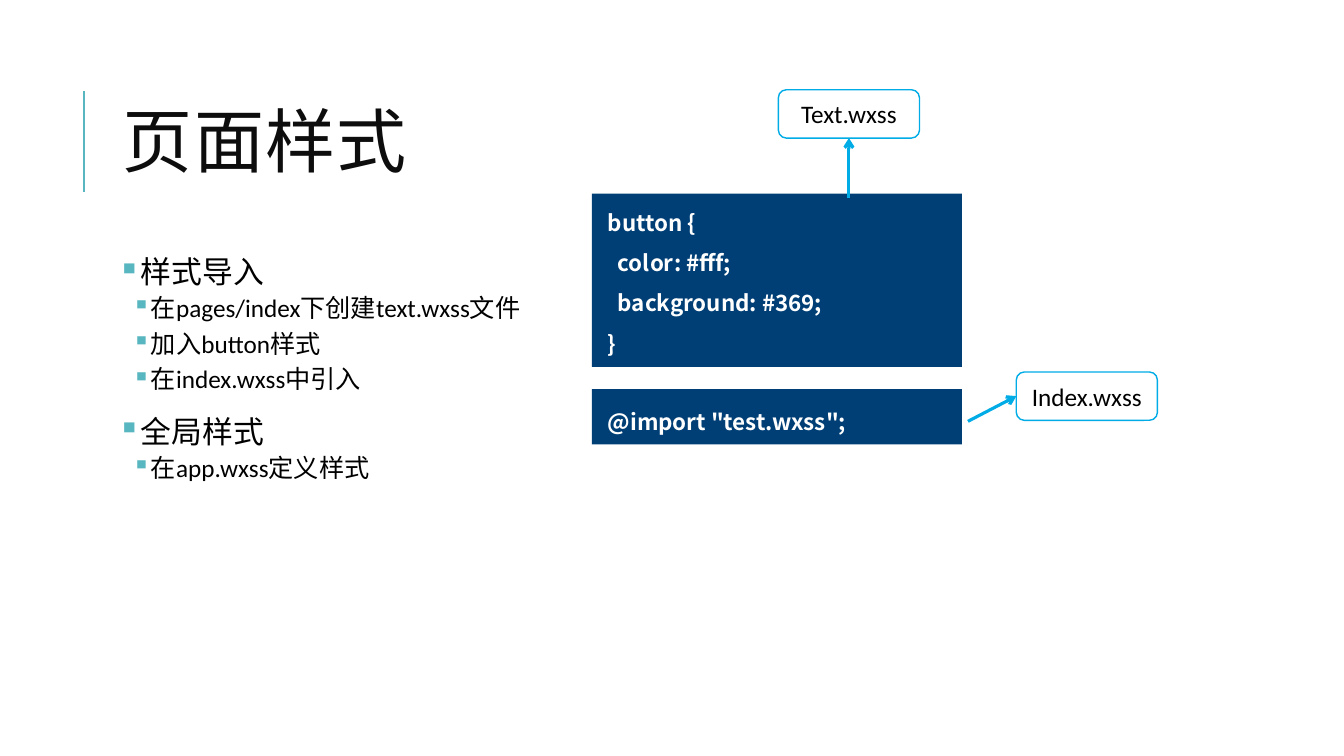
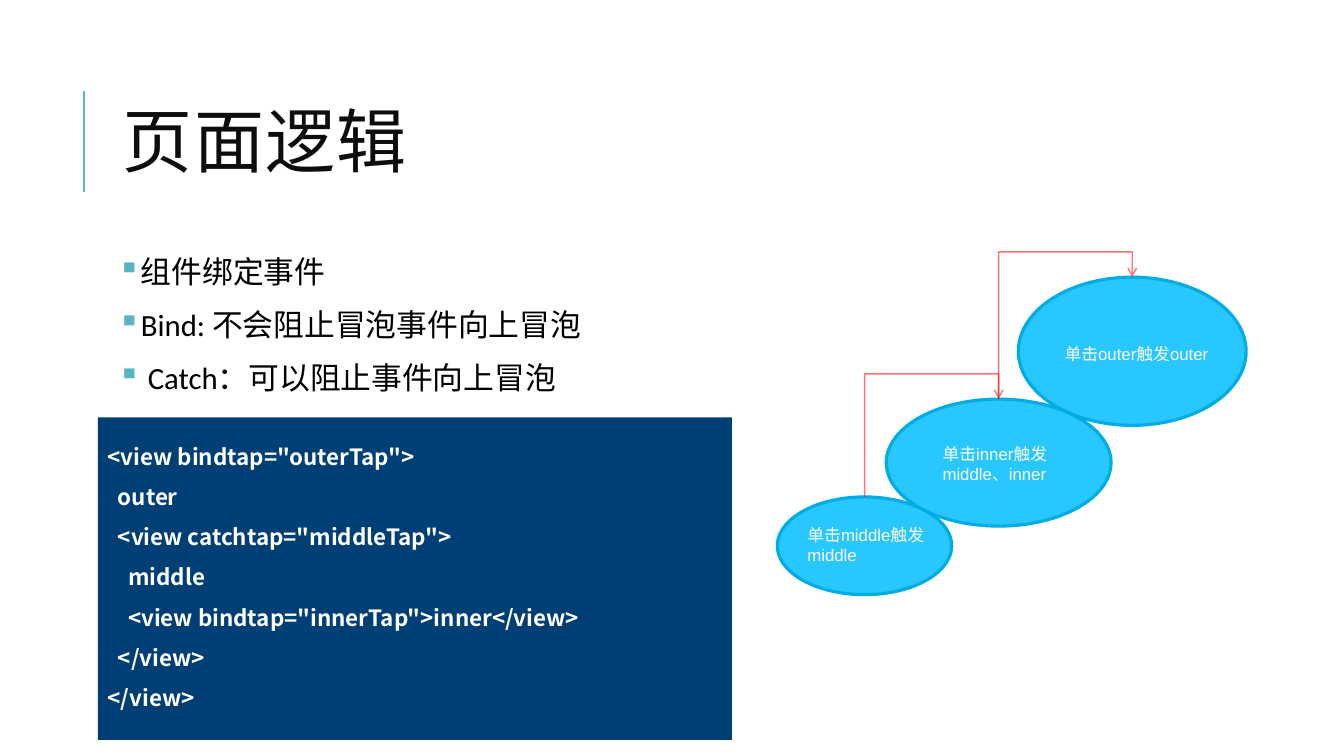
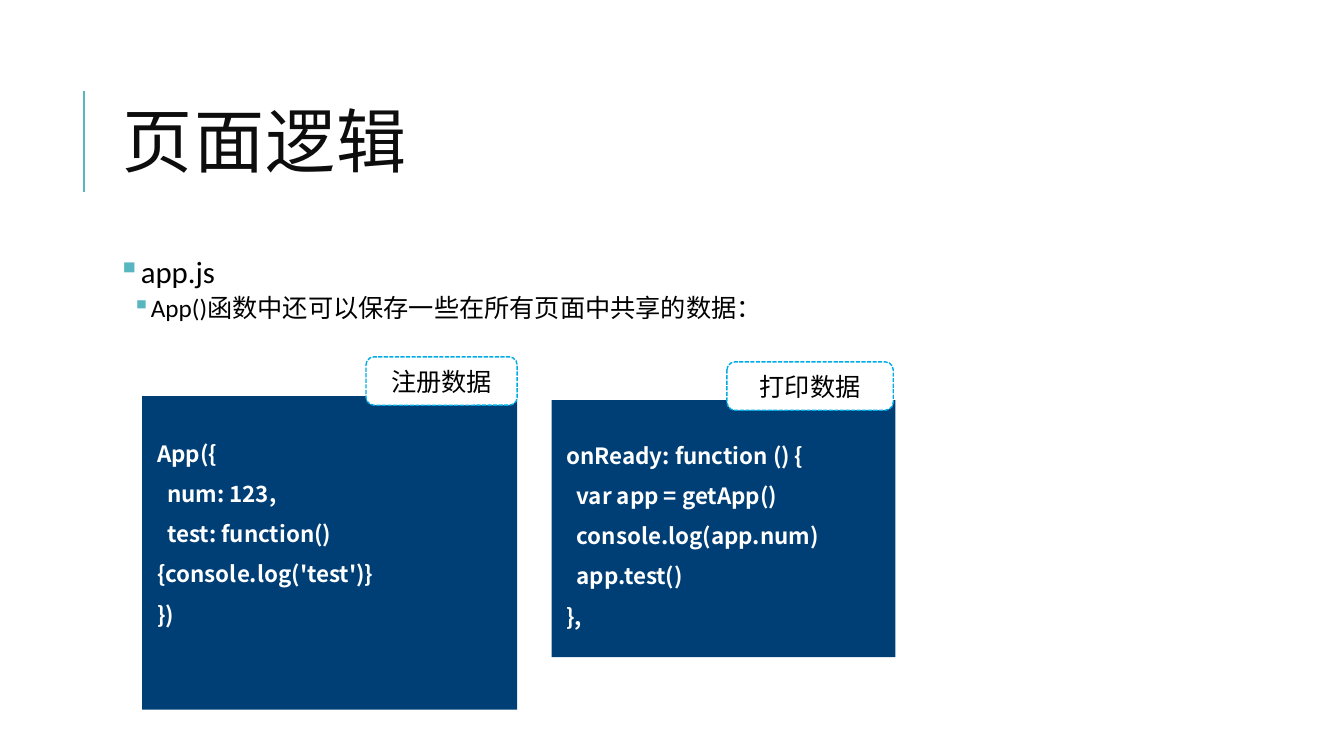
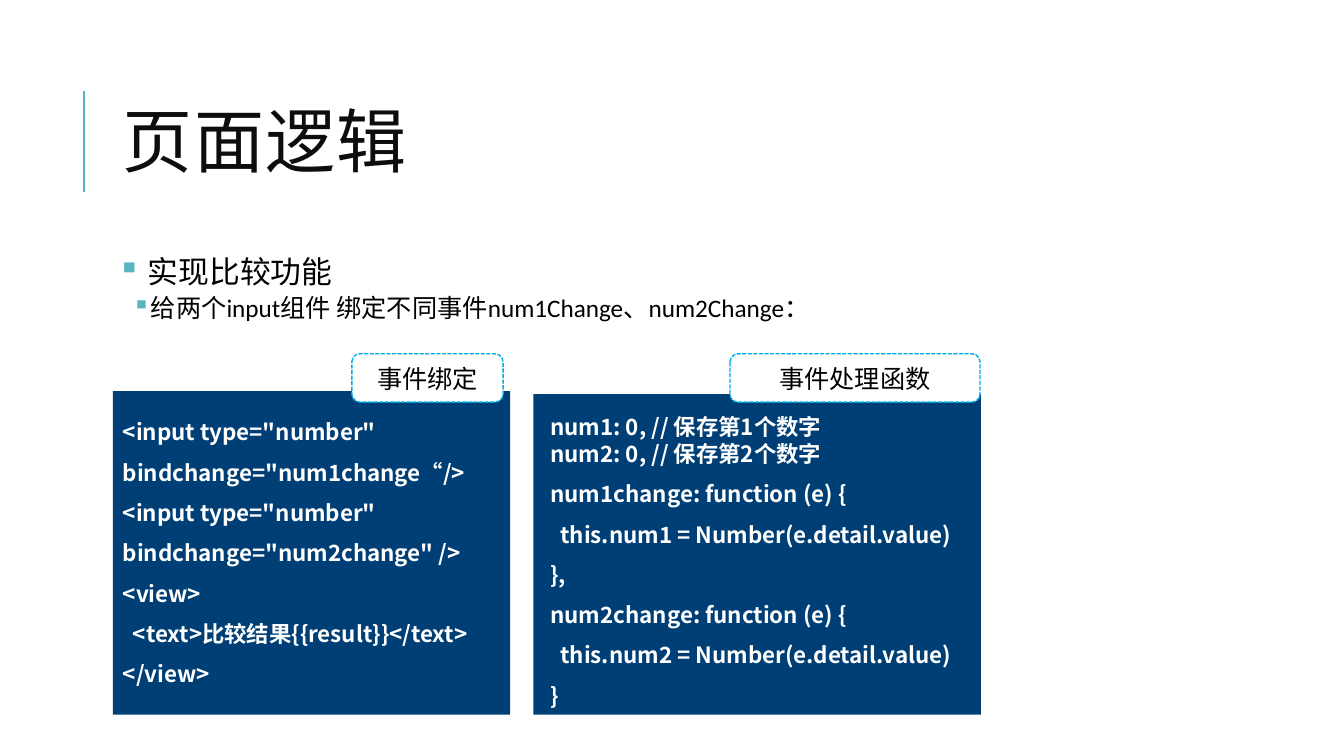
from dataclasses import dataclass
from typing import NamedTuple

from lxml import etree
from pptx import Presentation
from pptx import util as u
from pptx.dml import color
from pptx.enum import dml, shapes, text
from pptx.oxml import ns

Inches = u.Inches
Shape = shapes.MSO_SHAPE
Anchor = text.MSO_ANCHOR
Align = text.PP_ALIGN


@dataclass(frozen=True)
class Theme:
    teal: str = "58B6C0"
    navy: str = "003F75"
    blue: str = "00ACE6"
    sky: str = "29C7FF"
    red: str = "FF0000"
    ink: str = "0D0D0D"
    black: str = "000000"
    white: str = "FFFFFF"
    font: str = "Calibri"
    mono: str = "Noto Sans CJK SC"
    note: str = "Arial"
    head: int = 50
    body: int = 22
    sub: int = 18
    code: int = 16
    small: int = 12


T = Theme()


class Box(NamedTuple):
    x: float
    y: float
    w: float
    h: float

    def emu(self) -> list:
        return [Inches(v) for v in self]


class Level(NamedTuple):
    size: int
    left: float
    hang: float
    above: int
    below: int


LEVELS = (Level(T.body, 0.1, 0.1, 12, 2), Level(T.sub, 0.29, 0.15, 2, 4))


class Item(NamedTuple):
    text: str
    level: int = 0


class Code(NamedTuple):
    panel: Box
    area: Box
    lines: list
    tight: int = 0


class Tag(NamedTuple):
    text: str
    box: Box
    dash: bool = True


class Event(NamedTuple):
    text: str
    oval: Box
    area: Box


def rgb(code: str) -> color.RGBColor:
    return color.RGBColor.from_string(code)


def node(root, kind: str, /, **attrs: str):
    item = etree.SubElement(root, ns.qn(kind))
    for key, value in attrs.items():
        item.set(key, value)
    return item


def write(para, words: str, *, size: int, font: str = T.font, tint: str = T.black,
          bold: bool = False, lead: float = 1.0, above: int = 0, below: int = 0,
          align=Align.LEFT, track: int = 0) -> None:
    para.alignment = align
    para.line_spacing = lead
    para.space_before = u.Pt(above)
    para.space_after = u.Pt(below)
    run = para.add_run()
    run.text = words
    face = run.font
    face.size, face.bold, face.name = u.Pt(size), bold, font
    face.color.rgb = rgb(tint)
    props = run._r.get_or_add_rPr()
    node(props, "a:ea", typeface=font)
    if track:
        props.set("spc", str(track * 100))


def frame(slide, box: Box, inset: float = 0.0, anchor=Anchor.TOP):
    body = slide.shapes.add_textbox(*box.emu()).text_frame
    body.word_wrap = True
    body.vertical_anchor = anchor
    if inset:
        body.margin_left = body.margin_right = Inches(inset)
        body.margin_top = body.margin_bottom = Inches(inset)
    return body


def paras(body, count: int) -> list:
    return [body.paragraphs[0]] + [body.add_paragraph() for _ in range(count - 1)]


def shape(slide, kind, box: Box, fill: str, edge: str = "", width: float = 1):
    item = slide.shapes.add_shape(kind, *box.emu())
    item.shadow.inherit = False
    item.fill.solid()
    item.fill.fore_color.rgb = rgb(fill)
    if edge:
        item.line.color.rgb = rgb(edge)
        item.line.width = u.Pt(width)
    else:
        item.line.fill.background()
    return item


def link(slide, start: tuple, end: tuple, tint: str, width: float,
         kind=shapes.MSO_CONNECTOR.STRAIGHT, arrow: bool = True):
    ends = [Inches(v) for v in (*start, *end)]
    item = slide.shapes.add_connector(kind, *ends)
    item.line.color.rgb = rgb(tint)
    item.line.width = u.Pt(width)
    if arrow:
        node(item.line._get_or_add_ln(), "a:tailEnd", type="arrow")
    node(item._element.spPr, "a:effectLst")
    return item


def hook(slide, start: tuple, end: tuple, rise: float = 0.25) -> None:
    item = link(slide, start, end, T.red, 1, shapes.MSO_CONNECTOR.ELBOW)
    wide, tall = start[1] - end[1], end[0] - start[0]
    midx, midy = (start[0] + end[0]) / 2, (start[1] + end[1]) / 2
    box = Box(midx - wide / 2, midy - tall / 2, wide, tall)
    item.left, item.top, item.width, item.height = box.emu()
    props = item._element.spPr
    form = props.find(ns.qn("a:xfrm"))
    for key, value in (("rot", "5400000"), ("flipH", "1"), ("flipV", "1")):
        form.set(key, value)
    geom = props.find(ns.qn("a:prstGeom"))
    guides = geom.find(ns.qn("a:avLst"))
    if guides is None:
        guides = node(geom, "a:avLst")
    ratio = round((1 + rise / wide) * 100000)
    node(guides, "a:gd", name="adj1", fmla=f"val {ratio}")
    tone = next(props.iter(ns.qn("a:srgbClr")))
    node(tone, "a:alpha", val="54000")


def start(deck, title: str):
    slide = deck.slides.add_slide(deck.slide_layouts[6])
    link(slide, (0.83, 1.9), (0.83, 0.9), T.teal, 1.5, arrow=False)
    body = frame(slide, Box(1.12, 0.64, 10.63, 1.64), anchor=Anchor.MIDDLE)
    write(body.paragraphs[0], title, size=T.head, tint=T.ink, lead=0.8, track=1)
    return slide


def bullets(slide, box: Box, items: list) -> None:
    body = frame(slide, box, inset=0.05)
    for spot, (para, item) in enumerate(zip(paras(body, len(items)), items)):
        level = LEVELS[item.level]
        para.level = item.level
        props = para._p.get_or_add_pPr()
        props.set("marL", str(Inches(level.left)))
        props.set("indent", str(-Inches(level.hang)))
        node(node(props, "a:buClr"), "a:srgbClr", val=T.teal)
        node(props, "a:buChar", char="▪")
        write(para, item.text, size=level.size, lead=0.9,
              above=level.above if spot else 0, below=level.below)


def listing(slide, code: Code) -> None:
    shape(slide, Shape.RECTANGLE, code.panel, T.navy)
    body = frame(slide, code.area)
    for spot, para in enumerate(paras(body, len(code.lines))):
        write(para, code.lines[spot], size=T.code, font=T.mono, tint=T.white,
              bold=True, lead=1.0 if spot < code.tight else 1.5)


def label(slide, tag: Tag):
    item = shape(slide, Shape.ROUNDED_RECTANGLE, tag.box, T.white, T.blue)
    if tag.dash:
        item.line.dash_style = dml.MSO_LINE.SQUARE_DOT
    item.text_frame.vertical_anchor = Anchor.MIDDLE
    write(item.text_frame.paragraphs[0], tag.text, size=T.sub, align=Align.CENTER)
    return item


def style(deck) -> None:
    slide = start(deck, "页面样式")
    bullets(slide, Box(1.12, 2.5, 5.62, 2.42), [
        Item("样式导入"),
        Item("在pages/index下创建text.wxss文件", 1),
        Item("加入button样式", 1),
        Item("在index.wxss中引入", 1),
        Item("全局样式"),
        Item("在app.wxss定义样式", 1),
    ])
    listing(slide, Code(Box(5.87, 1.92, 3.67, 1.72), Box(5.93, 1.89, 3.6, 1.67), [
        "button {",
        "  color: #fff;",
        "  background: #369;",
        "}",
    ]))
    listing(slide, Code(Box(5.87, 3.86, 3.67, 0.55), Box(5.93, 3.87, 3.6, 0.5),
                        ['@import "test.wxss";']))
    for tag, tail, side in (
        (Tag("Text.wxss", Box(7.72, 0.89, 1.4, 0.48), False), (8.42, 1.96), 2),
        (Tag("Index.wxss", Box(10.08, 3.69, 1.4, 0.48), False), (9.6, 4.18), 1),
    ):
        item = label(slide, tag)
        link(slide, tail, tail, T.blue, 2.25).end_connect(item, side)


def events(deck) -> None:
    slide = start(deck, "页面逻辑")
    bullets(slide, Box(1.12, 2.5, 5.44, 1.64), [
        Item("组件绑定事件"),
        Item("Bind: 不会阻止冒泡事件向上冒泡"),
        Item(" Catch：可以阻止事件向上冒泡"),
    ])
    listing(slide, Code(Box(0.97, 4.14, 6.29, 3.2), Box(0.97, 4.21, 6.59, 2.94), [
        '<view bindtap="outerTap">',
        "  outer",
        '  <view catchtap="middleTap">',
        "    middle",
        '    <view bindtap="innerTap">inner</view>',
        "  </view>",
        "</view>",
    ]))
    middle = Event("单击middle触发middle", Box(7.71, 4.93, 1.73, 0.97),
                   Box(7.91, 5.16, 1.46, 0.5))
    inner = Event("单击inner触发middle、inner", Box(8.79, 3.96, 2.23, 1.26),
                  Box(9.25, 4.35, 1.69, 0.51))
    outer = Event("单击outer触发outer", Box(10.1, 2.75, 2.26, 1.47),
                  Box(10.46, 3.36, 1.76, 0.3))
    for event in (middle, outer, inner):
        shape(slide, Shape.OVAL, event.oval, T.sky, T.blue, 2.25)
    for event in (middle, inner, outer):
        write(frame(slide, event.area).paragraphs[0], event.text,
              size=T.small, font=T.note, tint=T.white)
    tops = [(e.oval.x + e.oval.w / 2, e.oval.y) for e in (middle, inner, outer)]
    for low, high in zip(tops, tops[1:]):
        hook(slide, low, high)


def pair(deck, width: float, items: list, codes: list, tags: list) -> None:
    slide = start(deck, "页面逻辑")
    bullets(slide, Box(1.12, 2.5, width, 2.04), items)
    for code in codes:
        listing(slide, code)
    for tag in tags:
        label(slide, tag)


def main() -> None:
    deck = Presentation()
    deck.slide_width, deck.slide_height = Inches(13.33), Inches(7.5)
    style(deck)
    events(deck)
    pair(deck, 6.86, [
        Item("app.js"),
        Item("App()函数中还可以保存一些在所有页面中共享的数据：", 1),
    ], [
        Code(Box(1.41, 3.93, 3.72, 3.11), Box(1.46, 4.18, 3.52, 2.49), [
            "App({",
            "  num: 123,",
            "  test: function() {console.log('test')}",
            "})",
        ]),
        Code(Box(5.47, 3.97, 3.41, 2.55), Box(5.52, 4.2, 3.39, 1.8), [
            "onReady: function () {",
            "  var app = getApp()",
            "  console.log(app.num)",
            "  app.test()",
            "},",
        ]),
    ], [
        Tag("注册数据", Box(3.63, 3.54, 1.5, 0.48)),
        Tag("打印数据", Box(7.21, 3.59, 1.65, 0.48)),
    ])
    pair(deck, 8.9, [
        Item(" 实现比较功能"),
        Item("给两个input组件 绑定不同事件num1Change、num2Change：", 1),
    ], [
        Code(Box(1.12, 3.88, 3.94, 3.21), Box(1.12, 3.97, 4.09, 2.88), [
            '<input type="number" bindchange="num1change“/>',
            '<input type="number" bindchange="num2change" />',
            "<view>",
            "  <text>比较结果{{result}}</text>",
            "</view>",
        ]),
        Code(Box(5.29, 3.91, 4.44, 3.18), Box(5.36, 4.05, 4.59, 3.02), [
            "num1: 0, // 保存第1个数字",
            "num2: 0, // 保存第2个数字",
            "num1change: function (e) {",
            "  this.num1 = Number(e.detail.value)",
            "},",
            "num2change: function (e) {",
            "  this.num2 = Number(e.detail.value)",
            "}",
        ], tight=2),
    ], [
        Tag("事件绑定", Box(3.49, 3.51, 1.5, 0.48)),
        Tag("事件处理函数", Box(7.24, 3.51, 2.48, 0.48)),
    ])
    deck.save("out.pptx")


if __name__ == "__main__":
    main()
